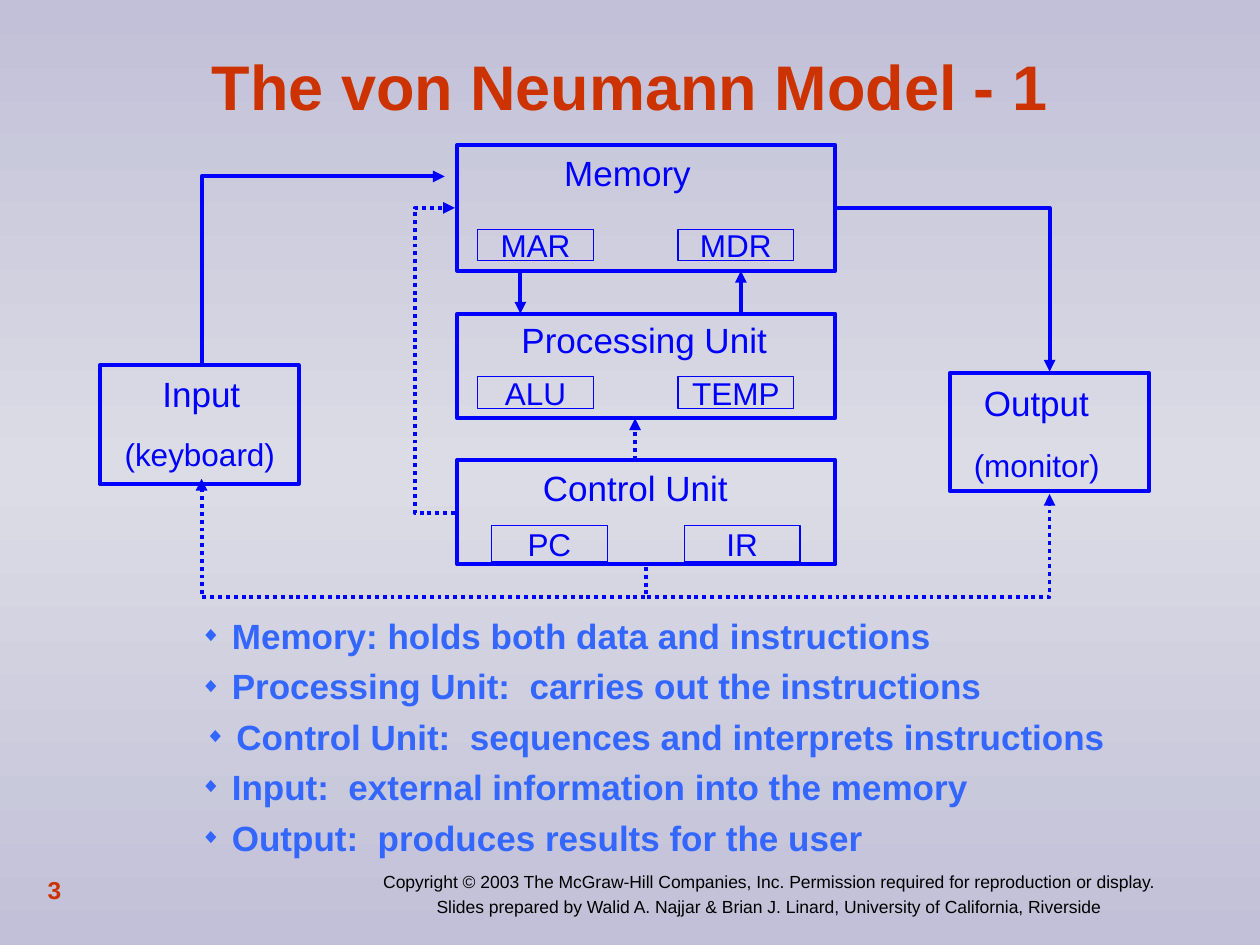
import copy
import pptx
import pptx.util
import pptx.dml.color
import pptx.enum.dml
import pptx.enum.shapes
import pptx.enum.text
from lxml import etree
from pptx.oxml.ns import qn

Inches, Pt = pptx.util.Inches, pptx.util.Pt
RGB = pptx.dml.color.RGBColor.from_string
ALIGN, ANCHOR = pptx.enum.text.PP_ALIGN, pptx.enum.text.MSO_ANCHOR
COLORS = {"title": "CC3300", "list": "3366FF", "diagram": "0000FF",
          "credit": "000000", "edge": "C1C0D8", "middle": "DBDCE5"}


def write(sp, lines, size, color, bold=False, align=ALIGN.LEFT, **frame):
    """Put one paragraph per line into a shape and format them alike."""
    tf = sp.text_frame
    frame = {"auto_size": pptx.enum.text.MSO_AUTO_SIZE.NONE, "word_wrap": True} | frame
    for name, value in frame.items():
        setattr(tf, name, value)
    tf.text = "\n".join(lines)
    for p in tf.paragraphs:
        p.alignment = align
        for r in p.runs:
            for name, value in {"name": "Arial", "size": Pt(size), "bold": bold}.items():
                setattr(r.font, name, value)
            r.font.color.rgb = RGB(COLORS[color])


def outline(sp, width, dotted=False, arrow=False):
    """Give a shape or line the diagram stroke, without shadow."""
    sp.line.color.rgb = RGB(COLORS["diagram"])
    sp.line.width = Pt(width)
    if dotted:
        sp.line.dash_style = pptx.enum.dml.MSO_LINE.ROUND_DOT
    if arrow:
        etree.SubElement(sp.line._get_or_add_ln(), qn("a:tailEnd"), type="triangle")
    if hasattr(sp, "fill"):
        sp.shadow.inherit = False
        sp.fill.background()
    else:
        etree.SubElement(sp._element.spPr, qn("a:effectLst"))


prs = pptx.Presentation()
prs.slide_width, prs.slide_height = Inches(10), Inches(7.5)
s = prs.slides.add_slide(prs.slide_layouts[1])

# Background gradient, light in the middle
fill = s.background.fill
fill.gradient()
fill.gradient_angle = 90
for stop in fill.gradient_stops:
    stop.color.rgb = RGB(COLORS["edge"])
first = next(s._element.iter(qn("a:gs")))
middle = copy.deepcopy(first)
middle.set("pos", "50000")
middle[0].set("val", COLORS["middle"])
first.addnext(middle)

# Title and list
title, body = s.placeholders
for sp, box in ((title, (0.5, 0.36, 9, 0.64)), (body, (1.24, 4.76, 7.67, 2.08))):
    sp.left, sp.top, sp.width, sp.height = map(Inches, box)
write(title, ["The von Neumann Model - 1"], 36, "title", True, ALIGN.CENTER,
      vertical_anchor=ANCHOR.MIDDLE)
write(body, ["Memory: holds both data and instructions",
             "Processing Unit:  carries out the instructions",
             "Control Unit:  sequences and interprets instructions",
             "Input:  external information into the memory",
             "Output:  produces results for the user"], 20, "list", True)
for p in body.text_frame.paragraphs:
    for name, value in {"level": 1, "line_spacing": 1.2, "space_before": Pt(0)}.items():
        setattr(p, name, value)
    pPr = p._p.get_or_add_pPr()
    pPr.set("marL", str(Inches(0.5)))
    pPr.set("indent", str(-Inches(0.25)))
    bullet_color = etree.SubElement(pPr, qn("a:buClr"))
    etree.SubElement(bullet_color, qn("a:srgbClr"), val=COLORS["list"])
    etree.SubElement(pPr, qn("a:buSzPct"), val="60000")
    etree.SubElement(pPr, qn("a:buChar"), char="◆")
body.text_frame.paragraphs[2].alignment = ALIGN.CENTER

# Units and the registers inside them
RECT = pptx.enum.shapes.MSO_SHAPE.RECTANGLE
for box in ((3.63, 1.15, 3, 1), (3.63, 2.49, 3, 0.83), (3.63, 3.65, 3, 0.83),
            (0.79, 2.9, 1.58, 0.94), (7.54, 2.96, 1.58, 0.94)):
    outline(s.shapes.add_shape(RECT, *map(Inches, box)), 2.25)
for y, height, registers in ((1.82, 0.25, (("MAR", 3.79), ("MDR", 5.38))),
                             (2.99, 0.25, (("ALU", 3.79), ("TEMP", 5.38))),
                             (4.17, 0.29, (("PC", 3.9), ("IR", 5.43)))):
    for text, x in registers:
        sp = s.shapes.add_shape(RECT, *map(Inches, (x, y, 0.92, height)))
        outline(sp, 0.75)
        write(sp, [text], 18, "diagram", align=ALIGN.CENTER,
              vertical_anchor=ANCHOR.MIDDLE, word_wrap=False)

# Unit labels
for text, size, *box in (("Memory", 20, 4.38, 1.15, 1.2, 0.44),
                         ("Processing Unit", 20, 4.04, 2.48, 2.15, 0.44),
                         ("Control Unit", 20, 4.21, 3.65, 1.67, 0.44),
                         ("Input", 20, 1.19, 2.91, 0.82, 0.44),
                         ("Output", 20, 7.71, 2.98, 1.03, 0.44),
                         ("(keyboard)", 18, 0.89, 3.4, 1.42, 0.4),
                         ("(monitor)", 18, 7.63, 3.49, 1.25, 0.4)):
    write(s.shapes.add_textbox(*map(Inches, box)), [text], size, "diagram", word_wrap=False)

# Straight arrows between units
for x, y1, y2, dotted in ((4.13, 2.15, 2.49, False), (5.88, 2.49, 2.15, False),
                          (5.04, 3.65, 3.32, True)):
    line = s.shapes.add_connector(pptx.enum.shapes.MSO_CONNECTOR.STRAIGHT,
                                  *map(Inches, (x, y1, x, y2)))
    outline(line, 2.25, dotted, arrow=True)

# Bent arrows: data solid, control dotted
for dotted, start, *bends in (
        (False, (1.6, 2.91), (1.6, 1.4), (3.53, 1.4)),
        (False, (6.64, 1.65), (8.33, 1.65), (8.33, 2.95)),
        (True, (3.61, 4.07), (3.29, 4.07), (3.29, 1.65), (3.61, 1.65)),
        (True, (5.13, 4.5), (5.13, 4.74), (1.6, 4.74), (1.6, 3.8)),
        (True, (5.13, 4.5), (5.13, 4.74), (8.33, 4.74), (8.33, 3.92))):
    builder = s.shapes.build_freeform(*map(Inches, start))
    builder.add_line_segments([tuple(map(Inches, point)) for point in bends], close=False)
    outline(builder.convert_to_shape(), 2.25, dotted, arrow=True)

# Footer
sp = s.shapes.add_textbox(*map(Inches, (2.56, 6.86, 7.08, 0.47)))
write(sp, ["Copyright © 2003 The McGraw-Hill Companies, Inc. "
           "Permission required for reproduction or display.",
           "Slides prepared by Walid A. Najjar & Brian J. Linard, "
           "University of California, Riverside"], 10, "credit", align=ALIGN.CENTER,
      vertical_anchor=ANCHOR.MIDDLE)
sp.text_frame.paragraphs[1].space_before = Pt(2.5)
sp = s.shapes.add_textbox(*map(Inches, (0.28, 6.81, 2.08, 0.5)))
write(sp, ["3"], 14, "title", True, vertical_anchor=ANCHOR.MIDDLE)

prs.save("out.pptx")
